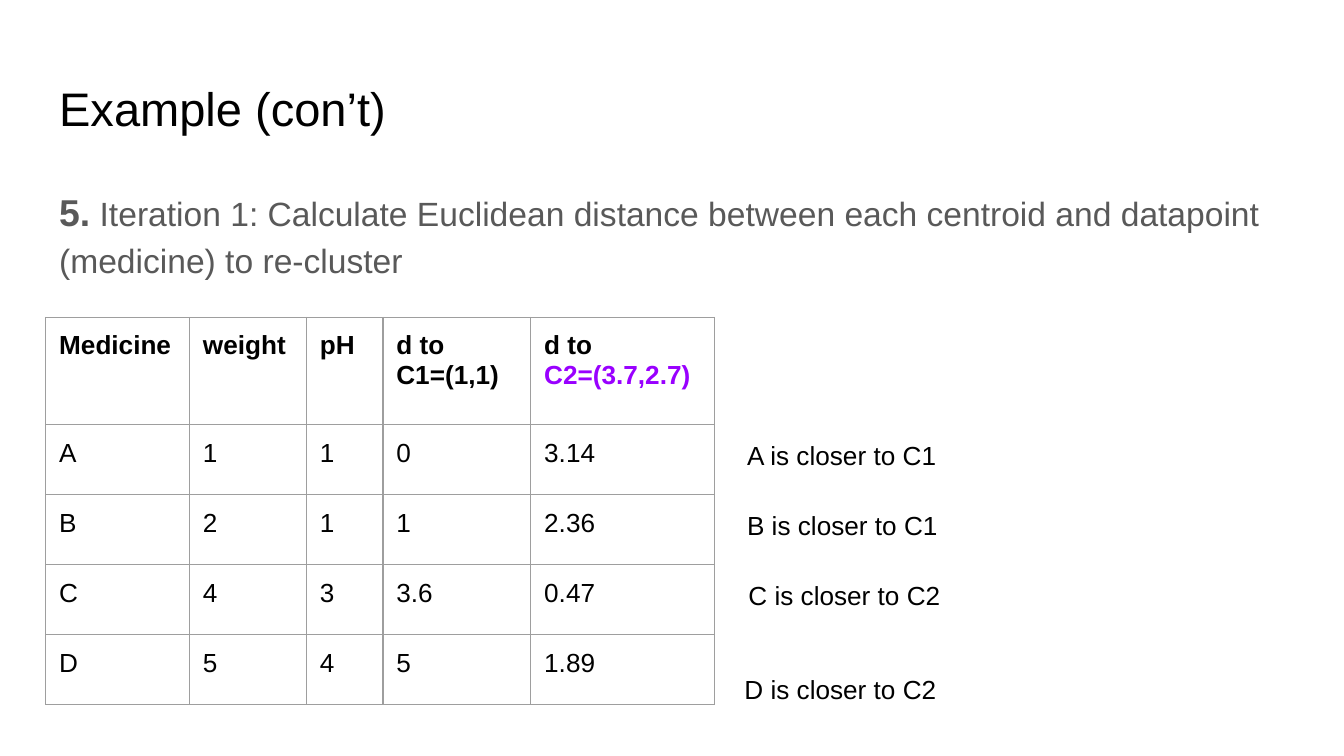
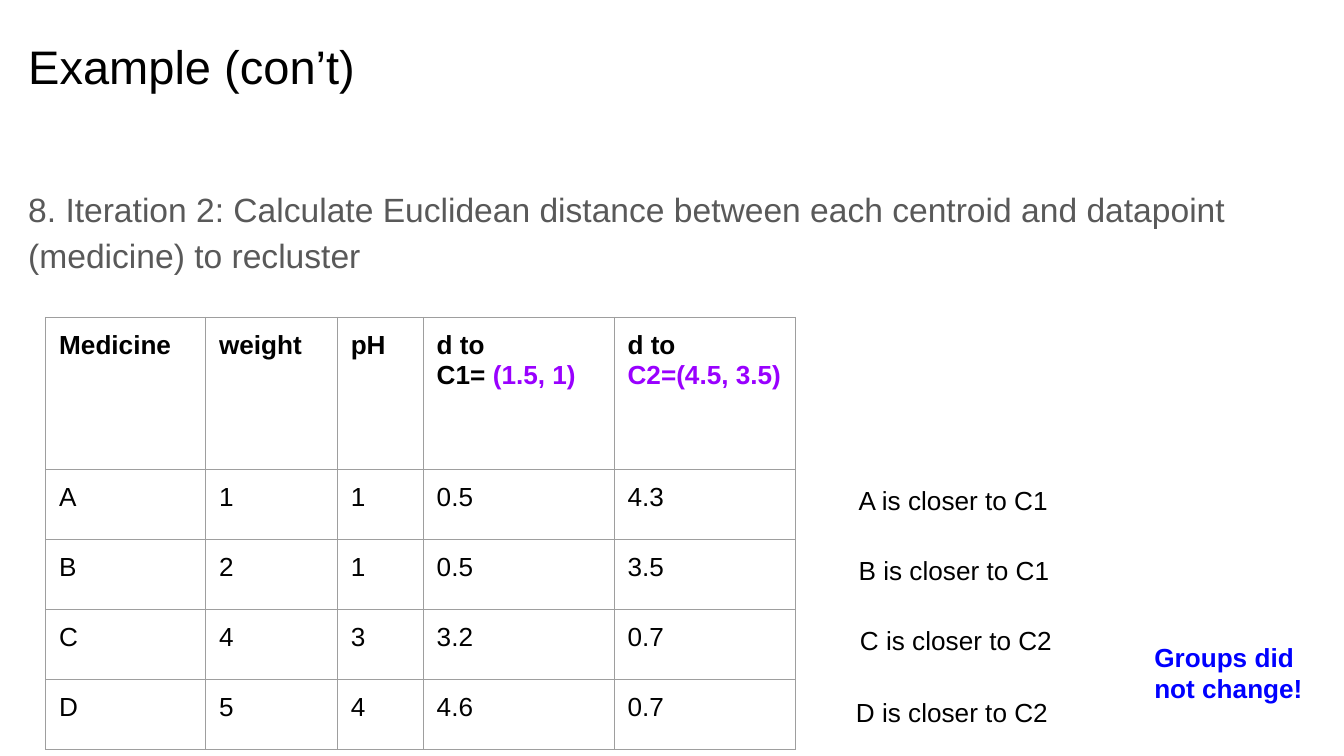
import pptx
import pptx.dml.color
import pptx.enum.text
import pptx.oxml
import pptx.oxml.ns
import pptx.util

COLORS = {
    "ink": "000000",
    "body": "595959",
    "grid": "9E9E9E",
    "changed": "9900FF",
    "remark": "0000FF",
}
FONT = "Arial"
SLIDE_WIDTH = pptx.util.Inches(10)
SLIDE_HEIGHT = pptx.util.Inches(5.625)
INSET = pptx.util.Inches(0.1)

# Every length is counted on a grid of 100 columns by 100 rows.
TABLE_LEFT, TABLE_TOP = 3.4, 42
DATA_ROW = 9.26
NOTE_HEIGHT = 7.8
NOTE_SHIFTS = (0, 0, 0.1, -0.2)
MEDICINES = (("A", "1", "1"), ("B", "2", "1"), ("C", "4", "3"), ("D", "5", "4"))
CLUSTERS = ("C1", "C1", "C2", "C2")


def across(columns):
    return round(SLIDE_WIDTH * columns / 100)


def down(rows):
    return round(SLIDE_HEIGHT * rows / 100)


def changed(text):
    return text, {"color": "changed"}


def write(frame, *paragraphs, size=14, color="ink", bold=False, line_spacing=None):
    """Fill a frame; a paragraph is a string or a list of strings and (text, format) pairs."""
    for index, spans in enumerate(paragraphs):
        para = frame.paragraphs[0] if index == 0 else frame.add_paragraph()
        para.alignment = pptx.enum.text.PP_ALIGN.LEFT
        para.space_before = pptx.util.Pt(0)
        if line_spacing:
            para.line_spacing = line_spacing
        for span in [spans] if isinstance(spans, str) else spans:
            text, custom = (span, {}) if isinstance(span, str) else span
            look = {"size": size, "color": color, "bold": bold, **custom}
            run = para.add_run()
            run.text = text
            run.font.name = FONT
            run.font.size = pptx.util.Pt(look["size"])
            run.font.bold = look["bold"]
            run.font.color.rgb = pptx.dml.color.RGBColor.from_string(COLORS[look["color"]])


def set_frame(frame, auto_size):
    frame.word_wrap = True
    frame.auto_size = auto_size
    frame.vertical_anchor = pptx.enum.text.MSO_ANCHOR.TOP
    frame.margin_left = frame.margin_right = INSET
    frame.margin_top = frame.margin_bottom = INSET


def fill_placeholder(box, left, top, width, height, *paragraphs, **look):
    box.left, box.top = across(left), down(top)
    box.width, box.height = across(width), down(height)
    set_frame(box.text_frame, pptx.enum.text.MSO_AUTO_SIZE.NONE)
    write(box.text_frame, *paragraphs, **look)


def remove_bullets(frame):
    for para in frame.paragraphs:
        properties = para._p.get_or_add_pPr()
        properties.set("marL", "0")
        properties.set("indent", "0")
        properties.append(pptx.oxml.parse_xml(
            f'<a:buNone {pptx.oxml.ns.nsdecls("a")}/>'))


def add_note(page, left, top, width, height, text, **look):
    box = page.shapes.add_textbox(across(left), down(top), across(width), down(height))
    set_frame(box.text_frame, pptx.enum.text.MSO_AUTO_SIZE.SHAPE_TO_FIT_TEXT)
    write(box.text_frame, text, **look)


def outline_cell(cell):
    properties = cell._tc.get_or_add_tcPr()
    for side in ("lnL", "lnR", "lnT", "lnB"):
        properties.append(pptx.oxml.parse_xml(
            f'<a:{side} {pptx.oxml.ns.nsdecls("a")} w="{pptx.util.Pt(0.75)}">'
            f'<a:solidFill><a:srgbClr val="{COLORS["grid"]}"/></a:solidFill></a:{side}>'))


def add_distance_table(page, widths, header_height, centroids, distances):
    header = ["Medicine"], ["weight"], ["pH"], *(["d to", name] for name in centroids)
    body = [[[value] for value in medicine + pair]
            for medicine, pair in zip(MEDICINES, distances)]
    heights = [header_height] + [DATA_ROW] * len(body)
    table = page.shapes.add_table(
        len(heights), len(widths), across(TABLE_LEFT), down(TABLE_TOP),
        across(sum(widths)), down(sum(heights))).table
    table.first_row = table.horz_banding = False
    for column, width in zip(table.columns, widths):
        column.width = across(width)
    for row, height in zip(table.rows, heights):
        row.height = down(height)
    for row_index, row in enumerate([header, *body]):
        for column_index, paragraphs in enumerate(row):
            cell = table.cell(row_index, column_index)
            cell.margin_left = cell.margin_right = INSET
            cell.margin_top = cell.margin_bottom = INSET
            outline_cell(cell)
            cell.fill.background()
            write(cell.text_frame, *paragraphs, bold=row_index == 0)


def add_cluster_notes(page, left, header_height, last_drop):
    """Set one note beside each data row; the last one sits lower by last_drop."""
    first_top = TABLE_TOP + header_height + 0.2
    for index, (medicine, cluster) in enumerate(zip(MEDICINES, CLUSTERS)):
        drop = last_drop if index == len(MEDICINES) - 1 else 0
        add_note(page, left + NOTE_SHIFTS[index], first_top + index * DATA_ROW + drop,
                 19.8, NOTE_HEIGHT, f"{medicine[0]} is closer to {cluster}")


def add_example_page(deck, left, title_top, body_width, step):
    page = deck.slides.add_slide(deck.slide_layouts[1])
    title, body = page.shapes.title, page.placeholders[1]
    fill_placeholder(title, left, title_top, 93.2, 11.2, "Example (con’t)", size=25.2)
    fill_placeholder(body, left, 22.4, body_width, 74.7, step,
                     size=18, color="body", line_spacing=1.15)
    remove_bullets(body.text_frame)
    return page


def add_first_iteration(deck):
    header_height = 14.2
    page = add_example_page(deck, 3.4, 8.7, 93.2, [
        ("5.", {"size": 20, "bold": True}),
        " Iteration 1: Calculate Euclidean distance between each centroid"
        " and datapoint (medicine) to re-cluster"])
    add_distance_table(
        page, (10.7, 8.7, 5.7, 11, 13.7), header_height,
        ("C1=(1,1)", [changed("C2=(3.7,2.7)")]),
        (("0", "3.14"), ("1", "2.36"), ("3.6", "0.47"), ("5", "1.89")))
    add_cluster_notes(page, 54.6, header_height, last_drop=3.1)


def add_second_iteration(deck):
    header_height = 20.1
    page = add_example_page(
        deck, 1.1, 3.2, 98.9,
        "8. Iteration 2: Calculate Euclidean distance between each centroid"
        " and datapoint (medicine) to recluster")
    add_distance_table(
        page, (11.9, 9.8, 6.4, 14.2, 13.5), header_height,
        (["C1= ", changed("(1.5, 1)")], [changed("C2=(4.5, 3.5)")]),
        (("0.5", "4.3"), ("0.5", "3.5"), ("3.2", "0.7"), ("4.6", "0.7")))
    add_cluster_notes(page, 62.9, header_height, last_drop=0.3)
    add_note(page, 84.9, 83, 14, 11.9, "Groups did not change!", color="remark", bold=True)


def main():
    deck = pptx.Presentation()
    deck.slide_width, deck.slide_height = SLIDE_WIDTH, SLIDE_HEIGHT
    add_first_iteration(deck)
    add_second_iteration(deck)
    deck.save("out.pptx")


if __name__ == "__main__":
    main()
